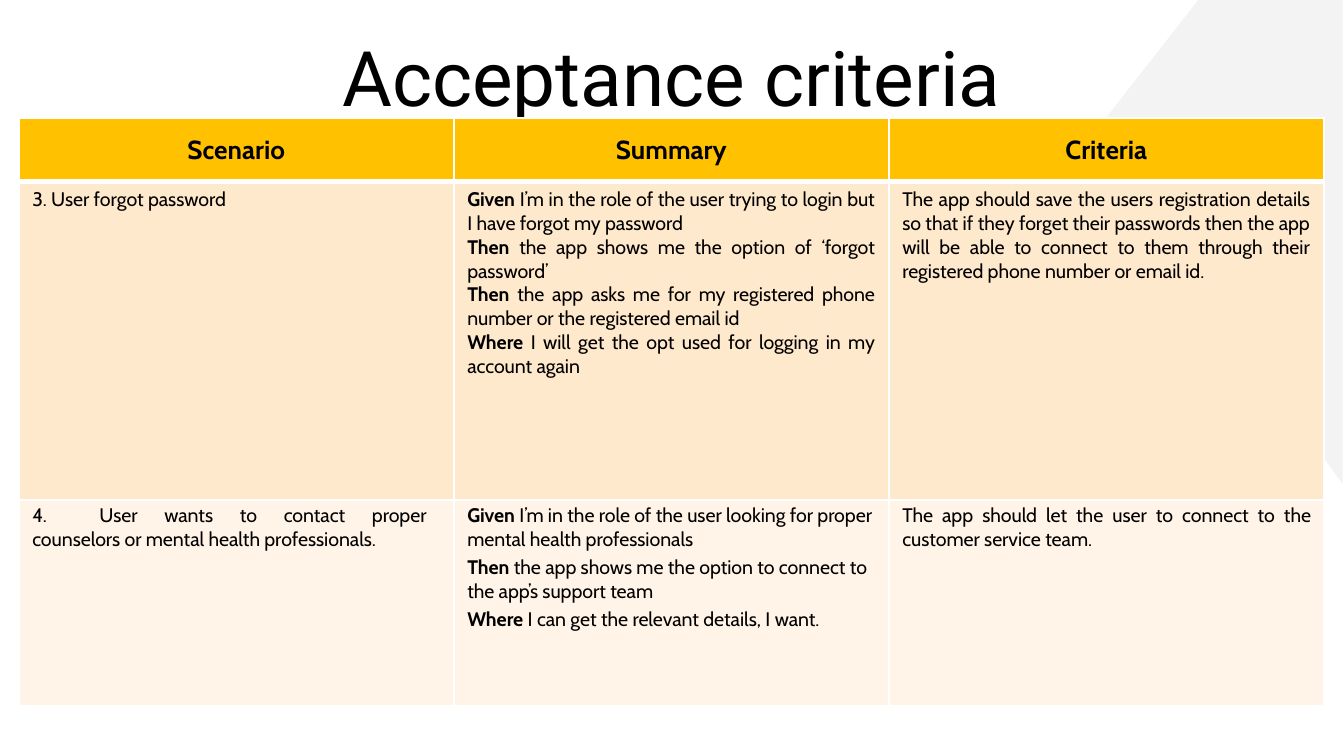
from lxml import etree
from pptx import Presentation
from pptx.dml.color import RGBColor
from pptx.enum import shapes, text
from pptx.oxml import ns
from pptx.util import Inches, Pt

BLACK = RGBColor(0, 0, 0)
WHITE = RGBColor(0xFF, 0xFF, 0xFF)
GRAY = RGBColor(0xF3, 0xF3, 0xF3)
AMBER = RGBColor(0xFF, 0xC1, 0x00)
PEACH = RGBColor(0xFF, 0xE9, 0xCC)
CREAM = RGBColor(0xFF, 0xF4, 0xE7)

CENTER = text.PP_ALIGN.CENTER
LEFT = text.PP_ALIGN.LEFT
JUSTIFY = text.PP_ALIGN.JUSTIFY

HEADINGS = ["Scenario", "Summary", "Criteria"]
FORGOT_PASSWORD = [
    [("", "3. User forgot password")],
    [
        ("Given ", "I’m in the role of the user trying to login but I have forgot my password"),
        ("Then ", "the app shows me the option of ‘forgot password’"),
        ("Then ", "the app asks me for my registered phone number or the registered email id"),
        ("Where ", "I will get the opt used for logging in my account again"),
    ],
    [("", "The app should save the users registration details so that if they forget "
          "their passwords then the app will be able to connect to them through their "
          "registered phone number or email id.")],
]
CONTACT_COUNSELORS = [
    [("", "4.\tUser wants to contact proper counselors or mental health professionals.")],
    [
        ("Given ", "I’m in the role of the user looking for proper mental health professionals"),
        ("Then ", "the app shows me the option to connect to the app’s support team"),
        ("Where ", "I can get the relevant details, I want."),
    ],
    [("", "The app should let the user to connect to the customer service team.")],
]


def add_run(paragraph, words, size, font="Cabin", bold=False):
    run = paragraph.add_run()
    run.text = words
    run.font.name = font
    run.font.size = Pt(size)
    run.font.bold = bold
    run.font.color.rgb = BLACK


def add_corner(slide, left, top, width, height):
    corner = slide.shapes.add_shape(
        shapes.MSO_SHAPE.ISOSCELES_TRIANGLE,
        Inches(left + (width - height) / 2), Inches(top + (height - width) / 2),
        Inches(height), Inches(width))
    corner.adjustments[0] = 0.52
    corner.rotation = 270
    corner.shadow.inherit = False
    corner.fill.solid()
    corner.fill.fore_color.rgb = GRAY
    corner.line.fill.background()


def add_title(slide, left, top, width, height):
    title = slide.shapes.add_textbox(Inches(left), Inches(top), Inches(width), Inches(height))
    frame = title.text_frame
    frame.word_wrap = True
    frame.vertical_anchor = text.MSO_ANCHOR.MIDDLE
    frame.margin_left = frame.margin_right = Inches(0.1)
    frame.margin_top = frame.margin_bottom = Inches(0.1)
    frame.paragraphs[0].alignment = CENTER
    add_run(frame.paragraphs[0], "Acceptance criteria", 41, "Roboto")


def paint_cell(cell, color, top=1, bottom=1):
    properties = cell._tc.get_or_add_tcPr()
    for side, points in (("L", 1), ("R", 1), ("T", top), ("B", bottom)):
        border = etree.SubElement(properties, ns.qn(f"a:ln{side}"), w=str(Pt(points)))
        fill = etree.SubElement(border, ns.qn("a:solidFill"))
        etree.SubElement(fill, ns.qn("a:srgbClr"), val=str(WHITE))
    cell.fill.solid()
    cell.fill.fore_color.rgb = color


def fill_cell(cell, clauses, alignment):
    frame = cell.text_frame
    for index, (keyword, clause) in enumerate(clauses):
        paragraph = frame.add_paragraph() if index else frame.paragraphs[0]
        paragraph.alignment = alignment
        if keyword:
            add_run(paragraph, keyword, 10.5, bold=True)
        add_run(paragraph, clause, 10.5)


def indent_cell(cell, right):
    cell.margin_left = cell.margin_right = cell.margin_bottom = 0
    cell.margin_top = Inches(0.03)
    for index, paragraph in enumerate(cell.text_frame.paragraphs):
        if index:
            paragraph.space_before = Pt(2.4)
        properties = paragraph._p.get_or_add_pPr()
        properties.set("marL", str(Inches(0.1)))
        properties.set("marR", str(Inches(right)))
        properties.set("indent", "0")
        if "\t" in paragraph.text:
            stops = etree.SubElement(properties, ns.qn("a:tabLst"))
            etree.SubElement(stops, ns.qn("a:tab"), pos=str(Inches(0.41)), algn="l")


def add_criteria_table(slide, left, top, width, row_heights):
    criteria = slide.shapes.add_table(
        len(row_heights), len(HEADINGS), Inches(left), Inches(top),
        Inches(width), Inches(sum(row_heights))).table
    criteria.first_row = criteria.horz_banding = False
    for column in criteria.columns:
        column.width = Inches(width / len(HEADINGS))
    for row, height in zip(criteria.rows, row_heights):
        row.height = Inches(height)

    for column, heading in enumerate(HEADINGS):
        header = criteria.cell(0, column)
        paint_cell(header, AMBER, bottom=3)
        header.vertical_anchor = text.MSO_ANCHOR.MIDDLE
        header.text_frame.paragraphs[0].alignment = CENTER
        add_run(header.text_frame.paragraphs[0], heading, 14, bold=True)

        password = criteria.cell(1, column)
        paint_cell(password, PEACH, top=3)
        fill_cell(password, FORGOT_PASSWORD[column], JUSTIFY)

        counselors = criteria.cell(2, column)
        paint_cell(counselors, CREAM)
        fill_cell(counselors, CONTACT_COUNSELORS[column], (JUSTIFY, LEFT, JUSTIFY)[column])
        indent_cell(counselors, (0.2, 0.1, 0.09)[column])

    first_scenario = criteria.cell(2, 0).text_frame.paragraphs[0]
    first_scenario._p.pPr.find(ns.qn("a:tabLst"))[0].set("pos", str(Inches(0.31)))


def main():
    deck = Presentation()
    deck.slide_width = Inches(10)
    deck.slide_height = Inches(5.625)
    slide = deck.slides.add_slide(deck.slide_layouts[6])
    add_corner(slide, 8.12, -1.37, 1.87, 4.97)
    add_title(slide, 0.57, 0.25, 8.86, 0.63)
    add_criteria_table(slide, 0.14, 0.88, 9.71, (0.47, 2.37, 1.53))
    deck.save("out.pptx")


if __name__ == "__main__":
    main()
